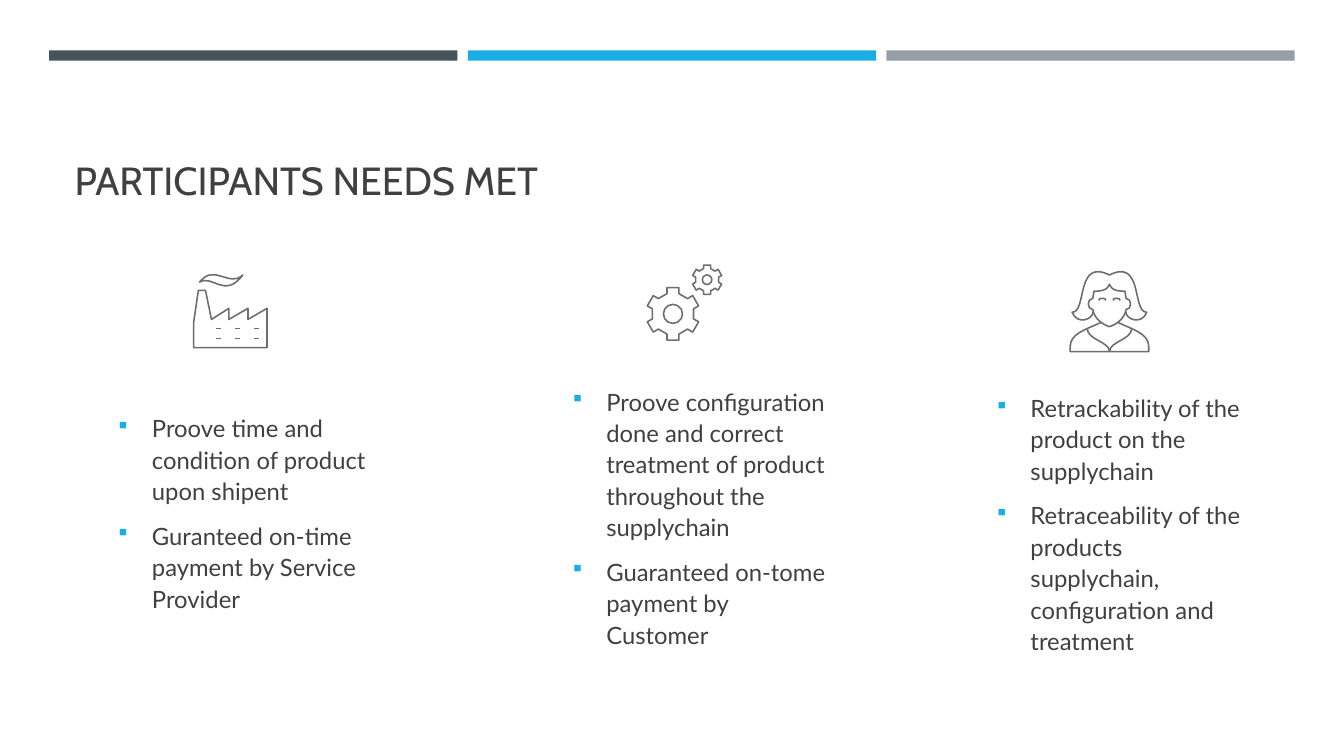
from math import cos, radians, sin
from lxml import etree
from pptx import Presentation
from pptx.dml.color import RGBColor
from pptx.enum.shapes import MSO_CONNECTOR, MSO_SHAPE
from pptx.enum.text import MSO_ANCHOR
from pptx.oxml.ns import qn
from pptx.util import Cm, Pt

RECTANGLE, OVAL = MSO_SHAPE.RECTANGLE, MSO_SHAPE.OVAL
STRAIGHT = MSO_CONNECTOR.STRAIGHT
BOTTOM, MIDDLE = MSO_ANCHOR.BOTTOM, MSO_ANCHOR.MIDDLE

THEME = {
    "bars": ("465359", "1CADE4", "969FA7"),
    "text": RGBColor.from_string("404040"),
    "bullet": "1CADE4",
    "bullet_font": "Wingdings",
    "icon": RGBColor.from_string("6D6E71"),
    "icon_width": Pt(1.13),
    "title_font": "Cabin",
    "title_size": Pt(28),
    "body_font": "Lato",
    "body_size": Pt(17),
}

prs = Presentation()
prs.slide_width, prs.slide_height = Cm(33.87), Cm(19.05)
slide = prs.slides.add_slide(prs.slide_layouts[6])
shapes = slide.shapes


def draw_outline(points, closed=True):
    corners = [(Cm(x), Cm(y)) for x, y in points]
    builder = shapes.build_freeform(*corners[0])
    builder.add_line_segments(corners[1:], close=closed)
    outline = builder.convert_to_shape()
    outline.shadow.inherit = False
    outline.fill.background()
    return outline


def draw_curve(points, closed=True):
    outline = draw_outline(points, closed)
    steps = list(outline._element.spPr.iter(qn("a:lnTo")))
    for i in range(0, len(points) - 1, 3):
        curve = etree.Element(qn("a:cubicBezTo"))
        steps[i].addprevious(curve)
        for step in steps[i:i + 3]:
            curve.append(step[0])
            step.getparent().remove(step)
    return outline


for i, color in enumerate(THEME["bars"]):
    bar = shapes.add_shape(RECTANGLE, Cm(1.24 + 10.55 * i), Cm(1.27), Cm(10.29), Cm(0.26))
    bar.shadow.inherit = False
    bar.fill.solid()
    bar.fill.fore_color.rgb = RGBColor.from_string(color)
    bar.line.fill.background()

title = shapes.add_textbox(Cm(1.63), Cm(1.96), Cm(30.63), Cm(3.3)).text_frame
title.word_wrap = True
title.vertical_anchor = BOTTOM
title.text = "PARTICIPANTS NEEDS MET"
heading = title.paragraphs[0].runs[0].font
heading.name, heading.size = THEME["title_font"], THEME["title_size"]
heading.color.rgb = THEME["text"]

needs_by_participant = [
    (2.73, 9, 7.8, [
        "Proove time and condition of product upon shipent",
        "Guranteed on-time payment by Service Provider"]),
    (14.18, 9.53, 6.98, [
        "Proove configuration done and correct treatment of product throughout the supplychain",
        "Guaranteed on-tome payment by Customer"]),
    (24.87, 9.84, 6.68, [
        "Retrackability of the product on the supplychain",
        "Retraceability of the products supplychain, configuration and treatment"]),
]
for left, top, height, needs in needs_by_participant:
    column = shapes.add_textbox(Cm(left), Cm(top), Cm(7.04), Cm(height)).text_frame
    column.word_wrap = True
    column.vertical_anchor = MIDDLE
    column.text = "\n".join(needs)
    for need in column.paragraphs:
        need.line_spacing = 1.1
        need.space_before, need.space_after = Pt(3.4), Pt(6)
        font = need.runs[0].font
        font.name, font.size = THEME["body_font"], THEME["body_size"]
        font.color.rgb = THEME["text"]
        properties = need._p.get_or_add_pPr()
        properties.set("marL", str(Cm(0.85)))
        properties.set("indent", str(-Cm(0.85)))
        bullet_color = etree.SubElement(properties, qn("a:buClr"))
        etree.SubElement(bullet_color, qn("a:srgbClr"), val=THEME["bullet"])
        etree.SubElement(properties, qn("a:buSzPct"), val="92000")
        etree.SubElement(properties, qn("a:buFont"), typeface=THEME["bullet_font"],
                         pitchFamily="2", charset="2")
        etree.SubElement(properties, qn("a:buChar"), char="§")

smoke = [(5.03, 7.11), (5.41, 6.63), (5.77, 7.26), (6.12, 6.93),
         (5.66, 7.54), (5.36, 6.91), (5.03, 7.11)]
factory = [(4.88, 8.76), (4.88, 8.13), (5, 7.32), (5.18, 7.32), (5.33, 8.05), (5.77, 7.77),
           (5.77, 8.05), (6.25, 7.77), (6.25, 8.05), (6.73, 7.77), (6.73, 8.76)]
icon_parts = [draw_curve(smoke), draw_outline(factory)]

for x in (5.44, 5.92, 6.4):
    for y in (8.28, 8.53):
        window = shapes.add_connector(STRAIGHT, Cm(x), Cm(y), Cm(x + 0.13), Cm(y))
        window.line.width = THEME["icon_width"]
        window.line.color.rgb = THEME["icon"]
        etree.SubElement(window._element.spPr, qn("a:effectLst"))

gears = [(16.96, 7.91, 0.15, 0.51, 0.66, 0.24), (17.82, 7.05, 0.09, 0.28, 0.37, 0.12)]
for center_x, center_y, half_tooth, root, tip, hole in gears:
    tooth = [(-half_tooth, -root), (-half_tooth, -tip), (half_tooth, -tip), (half_tooth, -root)]
    rim = []
    for angle in range(0, 360, 60):
        turn = radians(angle)
        rim += [(center_x + x * cos(turn) - y * sin(turn),
                 center_y + x * sin(turn) + y * cos(turn)) for x, y in tooth]
    icon_parts.append(draw_outline(rim))
    axle = shapes.add_shape(OVAL, Cm(center_x - hole), Cm(center_y - hole),
                            Cm(2 * hole), Cm(2 * hole))
    axle.shadow.inherit = False
    axle.fill.background()
    icon_parts.append(axle)

hair = [(0, 6.93), (0.86, 6.5), (0.56, 7.87), (0.94, 7.87),
        (0.81, 8.2), (0.41, 8.05), (0.41, 7.85)]
head = [(0, 7.16), (0.03, 7.21), (0.03, 7.34), (0.39, 7.34),
        (0.39, 7.34), (0.42, 7.52), (0.42, 7.52),
        (0.57, 7.52), (0.57, 7.8), (0.42, 7.8),
        (0.38, 8.05), (0.13, 8.2), (0, 8.23)]
shoulders = [(0, 8.86), (0, 8.86), (0.99, 8.86), (0.99, 8.86),
             (0.99, 8.86), (0.99, 8.74), (0.99, 8.74),
             (0.99, 8.41), (0.61, 8.31), (0.22, 8.13)]
collar = [(0, 8.86), (0, 8.61), (0.56, 8.56), (0.56, 8.28)]
eye = [(0, 7.52), (0.05, 7.52), (0.09, 7.52), (0.09, 7.57)]
face_axis = 27.96
customer = [(face_axis, hair, False), (face_axis, head, True), (face_axis, shoulders, False),
            (face_axis - 0.18, eye, False), (face_axis + 0.18, eye, False)]
for axis, half, closed in customer:
    mirrored = [(-x, y) for x, y in reversed(half)]
    icon_parts.append(draw_curve([(axis + x, y) for x, y in mirrored + half[1:]], closed))
for side in (-1, 1):
    icon_parts.append(draw_curve([(face_axis + side * x, y) for x, y in collar], False))

for part in icon_parts:
    part.line.width = THEME["icon_width"]
    part.line.color.rgb = THEME["icon"]

prs.save("out.pptx")
